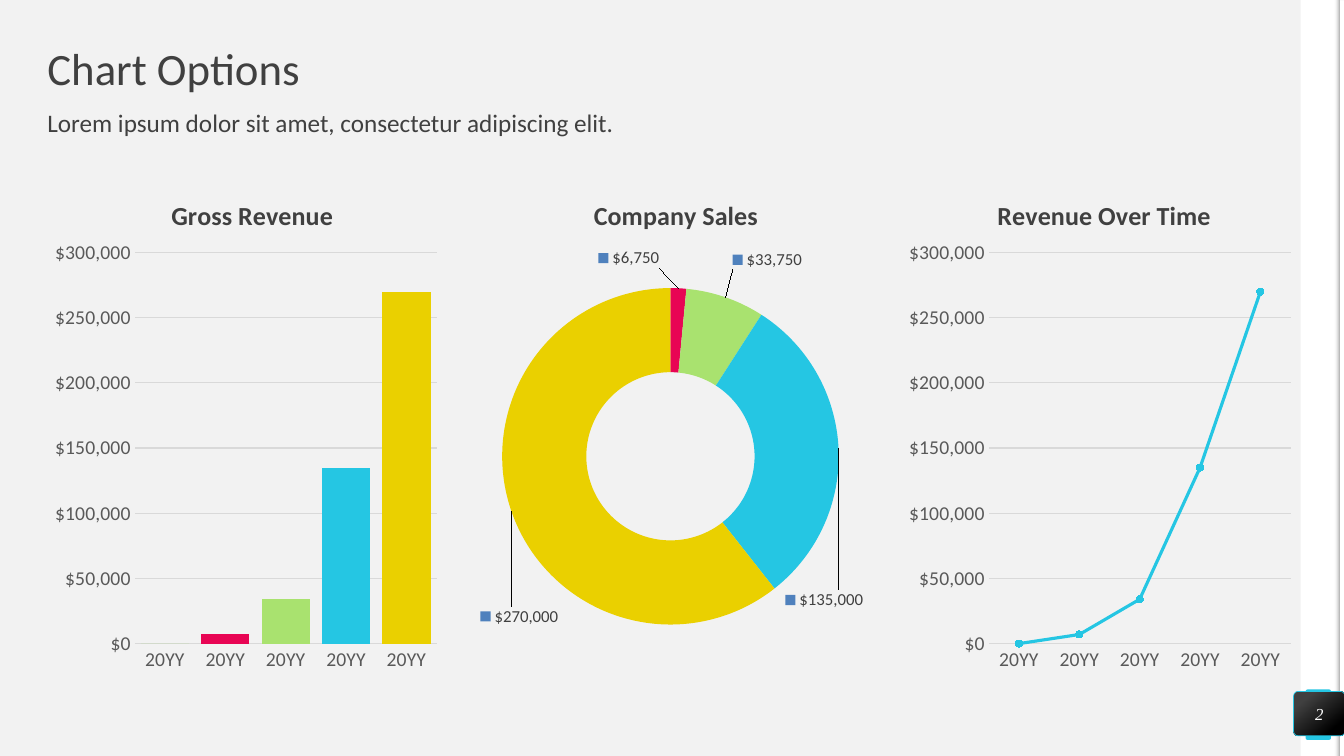
from lxml.etree import SubElement
from pptx import Presentation
from pptx.chart.data import CategoryChartData
from pptx.dml.color import RGBColor
from pptx.enum.chart import XL_CHART_TYPE, XL_MARKER_STYLE, XL_TICK_MARK
from pptx.enum.shapes import MSO_SHAPE
from pptx.enum.text import MSO_ANCHOR, PP_ALIGN
from pptx.oxml import parse_xml
from pptx.oxml.ns import nsdecls, qn
from pptx.util import Inches, Pt

PINK, GREEN, BLUE, YELLOW = "E80554", "A9E26F", "25C6E3", "EAD000"
DARK, GRAY, RULE, WHITE, PALE = "404040", "595959", "D9D9D9", "FFFFFF", "F2F2F2"
DOLLARS = "[$$-409]#,##0"
YEARS = ["20YY"] * 5
REVENUE = [0, 7000, 34000, 135000, 270000]
SALES = [0, 6750, 33750, 135000, 270000]
SLICE_COLORS = [GREEN, PINK, GREEN, BLUE, YELLOW]


def color(value):
    return RGBColor.from_string(value)


def place(parent, index, inner=False, mode="edge", **fractions):
    """Give a chart part a manual layout, in fractions of the chart."""
    for old in parent.findall(qn("c:layout")):
        parent.remove(old)
    layout = parse_xml(f"<c:layout {nsdecls('c')}><c:manualLayout/></c:layout>")
    settings = {"layoutTarget": "inner"} if inner else {}
    if mode == "edge":
        settings.update(xMode=mode, yMode=mode)
    settings.update(fractions)
    for name, value in settings.items():
        SubElement(layout[0], qn(f"c:{name}")).set("val", str(value))
    parent.insert(index, layout)


class SlideBuilder:
    font = "Calibri"

    def __init__(self, deck):
        self.page = deck.slides.add_slide(deck.slide_layouts[6])
        fill = self.page.background.fill
        fill.solid()
        fill.fore_color.rgb = color(PALE)

    def style(self, font, size, shade=DARK, name=None):
        font.size, font.name = Pt(size), name or self.font
        font.color.rgb = color(shade)

    def shape(self, kind, area, fill=None, radius=None, rotation=0):
        box = self.page.shapes.add_shape(kind, *map(Inches, area))
        box.shadow.inherit = False
        box.line.fill.background()
        box.rotation = rotation
        if radius:
            box.adjustments[0] = radius
        if fill:
            box.fill.solid()
            box.fill.fore_color.rgb = color(fill)
        return box

    def gradient(self, box, stops, angle):
        box.fill.gradient()
        box.fill.gradient_angle = angle
        for stop, (position, shade) in zip(box.fill.gradient_stops, stops):
            stop.position, stop.color.rgb = position, color(shade)

    def text(self, area, words, size, anchor=MSO_ANCHOR.TOP):
        box = self.page.shapes.add_textbox(*map(Inches, area))
        self.fill_text(box, words, size, anchor).line_spacing = 0.9

    def fill_text(self, box, words, size, anchor, shade=DARK, name=None):
        frame = box.text_frame
        frame.text = words
        frame.word_wrap, frame.vertical_anchor = True, anchor
        frame.margin_left = frame.margin_right = 0
        frame.margin_top = frame.margin_bottom = 0
        para = frame.paragraphs[0]
        self.style(para.runs[0].font, size, shade, name)
        return para

    def chart(self, kind, left, title, title_x, categories, values, plot_area):
        data = CategoryChartData(number_format=DOLLARS)
        data.categories = categories
        data.add_series("Series 1", values)
        area = map(Inches, (left, 1.65, 3.94, 5.12))
        chart = self.page.shapes.add_chart(kind, *area, data).chart
        chart.has_legend = False
        self.style(chart.font, 10, "000000")
        chart.has_title = True
        heading = chart.chart_title.text_frame
        heading.text = title
        font = heading.paragraphs[0].runs[0].font
        self.style(font, 18.6)
        font.bold = True
        place(chart.chart_title._element, 1, x=title_x, y=0.05)
        plot = chart.plots[0]
        place(plot._element.getparent(), 0, inner=True, **plot_area)
        plot.vary_by_categories = False
        return chart

    def axis_chart(self, kind, left, title, title_x):
        plot_area = dict(x=0.22, y=0.167, w=0.76, h=0.758)
        chart = self.chart(kind, left, title, title_x, YEARS, REVENUE, plot_area)
        for axis in (chart.category_axis, chart.value_axis):
            axis.major_tick_mark = axis.minor_tick_mark = XL_TICK_MARK.NONE
            self.style(axis.tick_labels.font, 14, GRAY)
        self.line(chart.category_axis.format.line, RULE, 0.75)
        amounts = chart.value_axis
        amounts.minimum_scale, amounts.maximum_scale = 0, 300000
        amounts.major_unit = 50000
        amounts.format.line.fill.background()
        amounts.has_major_gridlines = True
        self.line(amounts.major_gridlines.format.line, RULE, 0.75)
        amounts.tick_labels.number_format = DOLLARS
        amounts.tick_labels.number_format_is_linked = False
        return chart.plots[0]

    def line(self, line, shade, width):
        line.color.rgb, line.width = color(shade), Pt(width)

    def color_points(self, series):
        for index, shade in enumerate(SLICE_COLORS):
            fill = series.points[index].format.fill
            fill.solid()
            fill.fore_color.rgb = color(shade)

    def bars(self, *heading):
        plot = self.axis_chart(XL_CHART_TYPE.COLUMN_CLUSTERED, *heading)
        plot.gap_width = 25
        self.color_points(plot.series[0])

    def trend(self, *heading):
        plot = self.axis_chart(XL_CHART_TYPE.LINE_MARKERS_STACKED, *heading)
        series = plot.series[0]
        series.smooth = False
        self.line(series.format.line, BLUE, 2.25)
        marker = series.marker
        marker.style, marker.size = XL_MARKER_STYLE.CIRCLE, 5
        marker.format.fill.solid()
        marker.format.fill.fore_color.rgb = color(BLUE)
        self.line(marker.format.line, BLUE, 0.75)

    def ring(self, left, title, title_x, label_offsets):
        plot_area = dict(x=0.07, y=0.236, w=0.85, h=0.652)
        chart = self.chart(XL_CHART_TYPE.DOUGHNUT, left, title, title_x,
                           list("12345"), SALES, plot_area)
        plot = chart.plots[0]
        plot._element.find(qn("c:holeSize")).set("val", "84")
        series = plot.series[0]
        self.color_points(series)
        for index in label_offsets:
            self.style(series.points[index].data_label.font, 12)
        series.data_labels.show_value = False
        labels = series._element.findall(f".//{qn('c:dLbl')}")
        for label, (x, y) in zip(labels, label_offsets.values()):
            place(label, 1, mode="factor", x=x, y=y)
            label.find(qn("c:showLegendKey")).set("val", "1")


def main():
    deck = Presentation()
    deck.slide_width, deck.slide_height = Inches(13.33), Inches(7.5)
    slide = SlideBuilder(deck)

    # Right-hand band and its edge
    slide.shape(MSO_SHAPE.RECTANGLE, (12.9, 0, 0.39, 7.5), WHITE)
    slide.shape(MSO_SHAPE.ROUNDED_RECTANGLE, (12.95, 6.84, 0.25, 0.5), BLUE, 0.07)
    slide.shape(MSO_SHAPE.RECTANGLE, (9.56, 3.73, 7.5, 0.05), WHITE, rotation=90)
    edge = slide.shape(MSO_SHAPE.RECTANGLE, (9.51, 3.73, 7.5, 0.05), rotation=90)
    slide.gradient(edge, [(0, PALE), (1, "A6A6A6")], 90)
    first_shade = edge._element.find(f".//{qn('a:gs')}")[0]
    SubElement(first_shade, qn("a:alpha")).set("val", "0")

    # Headings
    slide.text((0.47, 0.47, 12.4, 0.47), "Chart Options", 32, MSO_ANCHOR.MIDDLE)
    slide.text((0.47, 1.1, 12.4, 0.39),
               "Lorem ipsum dolor sit amet, consectetur adipiscing elit.", 18)

    # Page number
    badge = slide.shape(MSO_SHAPE.ROUNDED_RECTANGLE, (12.83, 6.86, 0.51, 0.44), radius=0.1)
    slide.gradient(badge, [(0.2, DARK), (0.82, "000000")], 310)
    slide.line(badge.line, BLUE, 0.5)
    number = slide.fill_text(badge, "2", 12, MSO_ANCHOR.MIDDLE, WHITE, "Times New Roman")
    number.alignment = PP_ALIGN.CENTER
    number.runs[0].font.italic = True

    # Charts
    slide.bars(0.47, "Gross Revenue", 0.3)
    slide.ring(4.7, "Company Sales", 0.29, {
        1: (-0.12, -0.14), 2: (0.14, -0.15), 3: (0.07, 0.29), 4: (-0.08, 0.23)})
    slide.trend(8.94, "Revenue Over Time", 0.23)

    deck.save("out.pptx")


if __name__ == "__main__":
    main()
